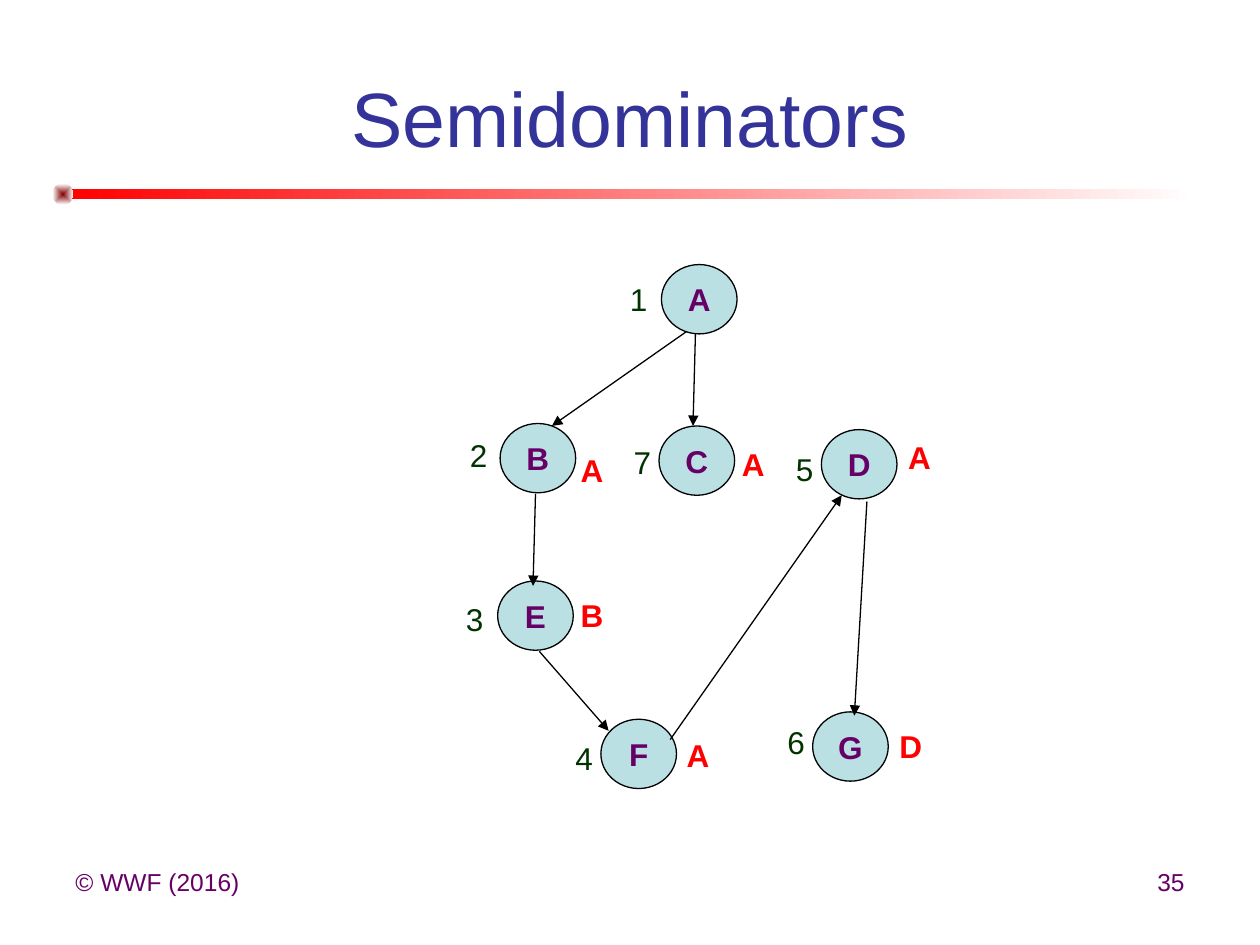
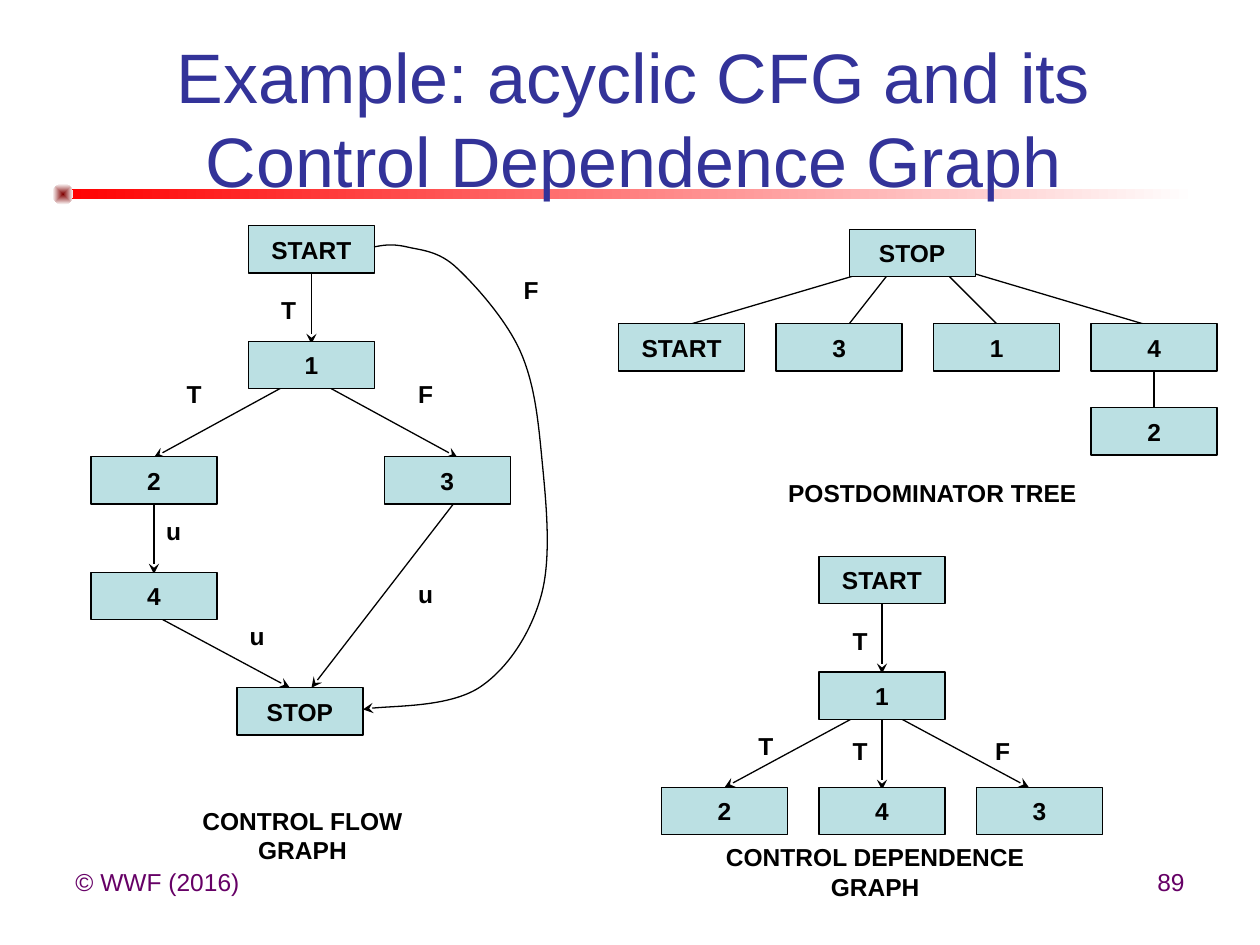
"""Build two compiler slides: semidominators and control dependence."""
import pptx
import pptx.util
import pptx.dml.color
import pptx.enum.shapes
import pptx.enum.text
import pptx.oxml.ns
import lxml.etree

Pt = pptx.util.Pt
RGB = pptx.dml.color.RGBColor.from_string
qn = pptx.oxml.ns.qn
Kind = pptx.enum.shapes.MSO_SHAPE
Wire = pptx.enum.shapes.MSO_CONNECTOR.STRAIGHT
Align = pptx.enum.text.PP_ALIGN
Anchor = pptx.enum.text.MSO_ANCHOR

theme = {
    "font": "Arial", "title": "333399", "plum": "660066", "node": "BBE0E3",
    "black": "000000", "green": "003300", "red": "FF0000", "maroon": "800000",
    "white": "FFFFFF", "small": 14, "mid": 18, "large": 40, "huge": 44, "line": 0.75,
}

base = {"color": "black", "size": "small", "bold": False, "align": Align.LEFT,
        "frame": {"word_wrap": False, "vertical_anchor": Anchor.TOP}}
center = {"align": Align.CENTER,
          "frame": {"word_wrap": False, "vertical_anchor": Anchor.MIDDLE}}
wrapped = {"word_wrap": True, "vertical_anchor": Anchor.MIDDLE}
foot = base | {"color": "plum"}
folio = foot | {"align": Align.RIGHT, "frame": {"word_wrap": True}}
head = base | center | {"color": "title", "size": "huge", "frame": wrapped}
block = base | center | {"bold": True}
disc = block | {"color": "plum", "size": "mid"}
order = base | {"color": "green", "size": "mid"}
semi = base | {"color": "red", "size": "mid", "bold": True}
folded = block | {"frame": wrapped | {"margin_left": Pt(10), "margin_right": Pt(10)}}


def ink(shape, tip=None):
    """Give a shape the thin black line, no shadow and an optional arrowhead."""
    shape.line.color.rgb = RGB(theme["black"])
    shape.line.width = Pt(theme["line"])
    props = shape.element.spPr
    if tip:
        lxml.etree.SubElement(props.find(qn("a:ln")), qn("a:tailEnd"), type=tip)
    lxml.etree.SubElement(props, qn("a:effectLst"))


def put(slide, box, text, style, kind=None):
    """Place text in a plain box, or in a filled node when a kind is given."""
    place = [Pt(part) for part in box]
    if kind is None:
        shape = slide.shapes.add_textbox(*place)
    else:
        shape = slide.shapes.add_shape(kind, *place)
        shape.fill.solid()
        shape.fill.fore_color.rgb = RGB(theme["node"])
        ink(shape)
    frame = shape.text_frame
    for key, value in style["frame"].items():
        setattr(frame, key, value)
    line = frame.paragraphs[0]
    line.alignment = style["align"]
    run = line.add_run()
    run.text = text
    face = {"name": theme["font"], "size": Pt(theme[style["size"]]), "bold": style["bold"]}
    for key, value in face.items():
        setattr(run.font, key, value)
    run.font.color.rgb = RGB(theme[style["color"]])


deck = pptx.Presentation()
deck.slide_width, deck.slide_height = Pt(720), Pt(540)

pages = []
for title, box, size, number in [
    ("Semidominators", (36, 21.6, 648, 90), "huge", "35"),
    ("Example: acyclic CFG and its Control Dependence Graph",
     (56.2, 39.6, 611.3, 54.7), "large", "89"),
]:
    page = deck.slides.add_slide(deck.slide_layouts[6])
    for kind, place, shade in [
        (Kind.RECTANGLE, (36, 108, 648, 5.76), "red"),
        (Kind.OVAL, (30, 105, 12, 12), "maroon"),
    ]:
        band = page.shapes.add_shape(kind, *map(Pt, place))
        band.shadow.inherit = False
        band.line.fill.background()
        band.fill.gradient()
        band.fill.gradient_angle = 0
        for stop, tone in zip(band.fill.gradient_stops, (shade, "white")):
            stop.color.rgb = RGB(theme[tone])
    grad = band.element.spPr.find(qn("a:gradFill"))
    grad.remove(grad.find(qn("a:lin")))
    glow = lxml.etree.SubElement(grad, qn("a:path"), path="shape")
    lxml.etree.SubElement(glow, qn("a:fillToRect"), dict.fromkeys("ltrb", "50000"))
    put(page, (36, 492, 168, 37.4), "© WWF (2016)", foot)
    put(page, (516, 492, 168, 37.4), number, folio)
    put(page, box, title, head | {"size": size})
    pages.append(page)
tree, flow = pages

discs = [
    ("A", 378, 151.2), ("B", 285.8, 242), ("C", 376.6, 243.4), ("D", 469.4, 245.5),
    ("E", 284.4, 332), ("F", 343.4, 411), ("G", 464.4, 406.8),
]
for name, x, y in discs:
    put(tree, (x, y, 43.2, 39.6), name, disc, Kind.OVAL)

for edge in [
    (392.4, 189.4, 315.4, 243.4), (397.4, 190.8, 396, 243.4),
    (306, 282.2, 304.6, 334.8), (308.2, 372.2, 347.8, 417.6),
    (383, 422.6, 481, 283), (495.4, 286.6, 488.2, 409),
]:
    ink(tree.shapes.add_connector(Wire, *map(Pt, edge)), "triangle")

for style, width, marks in [
    (order, 24.5, [
        ("1", 352.8, 156.2), ("2", 261.4, 245.5), ("3", 259.2, 339.1), ("4", 321.8, 419),
        ("5", 447.8, 253.4), ("6", 442.8, 409.7), ("7", 355, 249.8)]),
    (semi, 27.4, [
        ("D", 506.9, 411.8), ("A", 511.9, 247), ("A", 416.9, 250.6),
        ("A", 324.7, 254.2), ("B", 324.7, 337), ("A", 385.2, 416.9)]),
]:
    for text, x, y in marks:
        put(tree, (x, y, width, 29), text, style)

arrows = [
    (178, 153.4, 178, 196.6), (165.6, 219, 88, 261.4), (183.6, 219, 261.4, 261.4),
    (88, 285, 88, 328), (88, 351.4, 165.6, 393), (261.4, 285, 178, 393),
    (504, 342, 504, 385), (504, 408, 504, 451.4),
    (491.8, 408, 414, 450), (509.8, 408, 588, 450),
]
plain = [
    (497.5, 154.8, 395.3, 185), (509, 154.8, 485.3, 185), (539.3, 154.8, 569.5, 185),
    (551.5, 154.8, 653, 185), (659.5, 208.8, 659.5, 233.3),
]
for edges, tip in [(arrows, "stealth"), (plain, None)]:
    for edge in edges:
        ink(flow.shapes.add_connector(Wire, *map(Pt, edge)), tip)

step = 66
top, low = 129, 318
fan, gap = 353.5, 90
blocks = [
    ("START", 142, top), ("1", 142, top + step), ("2", 52, top + 2 * step),
    ("3", 219.6, top + 2 * step), ("4", 52, top + 3 * step), ("STOP", 135.4, top + 4 * step),
    ("START", 468, low), ("1", 468, low + step),
    ("STOP", 485.3, 131), ("2", fan + 3 * gap, 233),
]
blocks += [(name, 378 + gap * i, low + 2 * step) for i, name in enumerate("243")]
blocks += [(name, fan + gap * i, 185) for i, name in enumerate(["START", "3", "1", "4"])]
for name, x, y in blocks:
    put(flow, (x, y, 72, 27), name, block, Kind.RECTANGLE)

for text, x, y in [
    ("T", 153.4, 165), ("T", 99.4, 213), ("F", 231.8, 213), ("u", 87.8, 291),
    ("u", 231.8, 327), ("u", 135.4, 351.4), ("F", 292, 153.4),
    ("T", 480, 354.2), ("T", 426.2, 414), ("T", 480, 417), ("F", 561.5, 417),
]:
    put(flow, (x, y, 23, 24), text, block)

for text, box, style in [
    ("CONTROL FLOW GRAPH", (81.4, 465.1, 182.9, 24), folded),
    ("CONTROL DEPENDENCE GRAPH", (380.2, 486, 239.8, 24), folded),
    ("POSTDOMINATOR TREE", (442.8, 269.3, 180, 24), block),
]:
    put(flow, box, text, style)

bends = [
    (218, 140.4), (223, 139), (232, 141),
    (240, 143), (250.6, 143), (261.4, 153.4),
    (272, 163.4), (289.4, 182.9), (297.4, 200.9),
    (305.3, 218.9), (307.4, 238.3), (309.6, 261.4),
    (311.8, 284.4), (315.4, 316.8), (309.6, 339.1),
    (303.8, 361.4), (290.2, 382.3), (273.6, 393.1),
    (256.3, 403.9), (218.2, 403.2), (207.4, 405.4),
]
maker = flow.shapes.build_freeform(Pt(213.8), Pt(141.1))
maker.add_line_segments([(Pt(x), Pt(y)) for x, y in bends], close=False)
curve = maker.convert_to_shape()
curve.fill.background()
ink(curve, "stealth")
parts = list(curve.element.spPr.iter(qn("a:lnTo")))
for i in range(0, len(parts), 3):
    cubic = lxml.etree.Element(qn("a:cubicBezTo"))
    parts[i].addprevious(cubic)
    for part in parts[i:i + 3]:
        cubic.append(part[0])
        part.getparent().remove(part)

deck.save("out.pptx")
